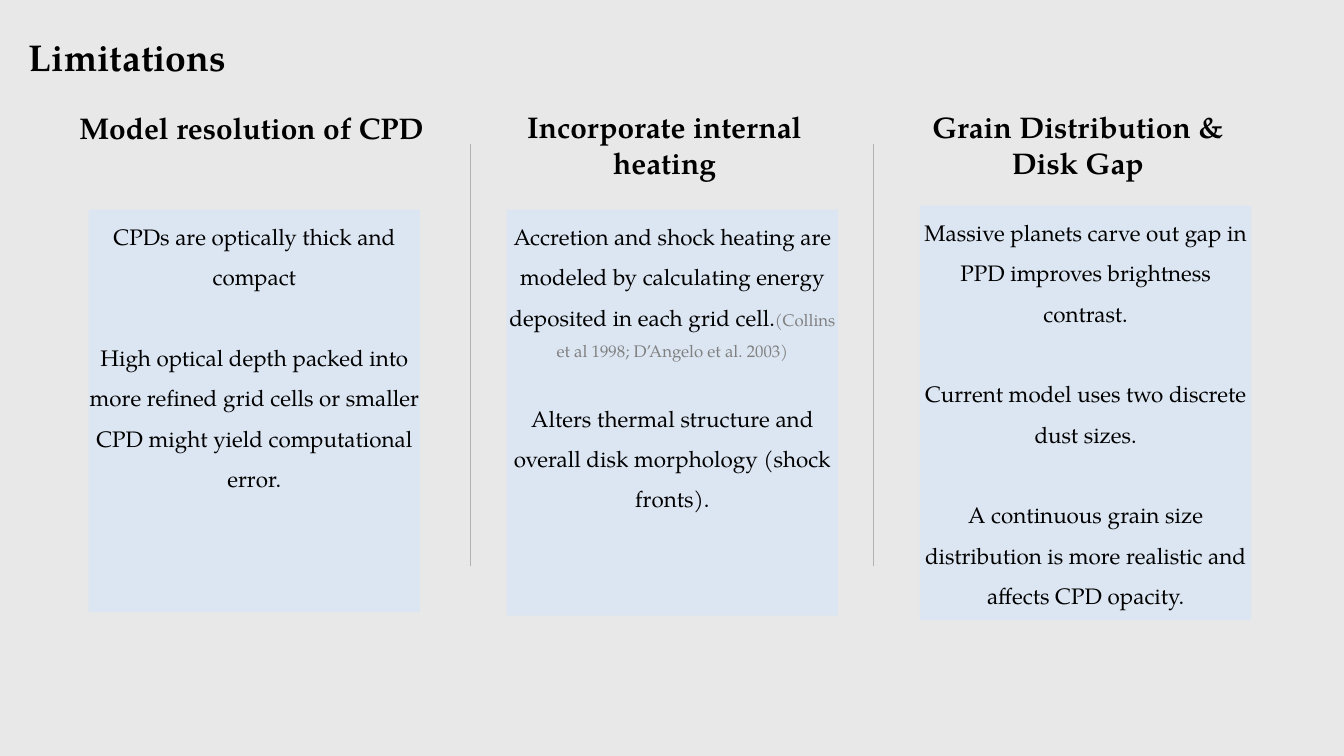
"""Build the slide that lists three limitations in side-by-side columns."""
from dataclasses import dataclass

from lxml.etree import SubElement
from pptx import Presentation
from pptx.dml.color import RGBColor
from pptx.enum.shapes import MSO_CONNECTOR, MSO_SHAPE
from pptx.enum.text import MSO_ANCHOR, MSO_AUTO_SIZE, PP_ALIGN
from pptx.oxml.ns import qn
from pptx.slide import Slide
from pptx.text.text import TextFrame, _Paragraph
from pptx.util import Inches, Length, Pt

FONT = "TeX Gyre Pagella"
BLACK = RGBColor(0x00, 0x00, 0x00)
GRAY = RGBColor(0x80, 0x80, 0x80)
RULE_GRAY = RGBColor(0xB3, 0xB3, 0xB3)
PANEL_BLUE = RGBColor(0xDC, 0xE6, 0xF2)
PAGE_GRAY = RGBColor(0xE8, 0xE8, 0xE8)

SLIDE_WIDTH, SLIDE_HEIGHT = Inches(20), Inches(11.25)
COLUMNS, ROWS = 20, 11.25
PANEL_COLUMNS = 4.93
DIVIDER_COLUMNS = (7, 13)
DIVIDER_TOP, DIVIDER_BOTTOM = 2.15, 8.42


@dataclass(frozen=True)
class Area:
    """Place of an object in grid columns and rows."""

    left: float
    top: float
    width: float
    height: float

    def lengths(self) -> tuple[Length, Length, Length, Length]:
        """Return left, top, width and height as slide lengths."""
        return across(self.left), down(self.top), across(self.width), down(self.height)


@dataclass(frozen=True)
class Limitation:
    """A heading with its panel of statements."""

    heading: str
    heading_area: Area
    panel_area: Area
    statements: tuple[str, ...]
    citation: str = ""
    alignment: PP_ALIGN = PP_ALIGN.CENTER
    gap: float = 43.3


LIMITATIONS = (
    Limitation(
        "Model resolution of CPD",
        Area(0.45, 1.62, 5.86, 0.53),
        Area(1.32, 3.12, PANEL_COLUMNS, 5.99),
        (
            "CPDs are optically thick and compact",
            "High optical depth packed into more refined grid cells or smaller CPD "
            "might yield computational error.",
        ),
        alignment=PP_ALIGN.RIGHT,
    ),
    Limitation(
        "Incorporate internal heating",
        Area(7.17, 1.61, 5.44, 1.07),
        Area(7.54, 3.12, PANEL_COLUMNS, 6.04),
        (
            "Accretion and shock heating are modeled by calculating energy "
            "deposited in each grid cell.",
            "Alters thermal structure and overall disk morphology (shock fronts).",
        ),
        citation="(Collins et al 1998; D’Angelo et al. 2003)",
        gap=32.5,
    ),
    Limitation(
        "Grain Distribution & Disk Gap",
        Area(13.47, 1.61, 5.14, 1.07),
        Area(13.69, 3.06, PANEL_COLUMNS, 6.17),
        (
            "Massive planets carve out gap in PPD improves brightness contrast.",
            "Current model uses two discrete dust sizes.",
            "A continuous grain size distribution is more realistic and affects "
            "CPD opacity.",
        ),
    ),
)


def across(columns: float) -> Length:
    """Convert grid columns to a length."""
    return Length(round(SLIDE_WIDTH * columns / COLUMNS))


def down(rows: float) -> Length:
    """Convert grid rows to a length."""
    return Length(round(SLIDE_HEIGHT * rows / ROWS))


def prepare_frame(frame: TextFrame, anchor: MSO_ANCHOR = MSO_ANCHOR.TOP, margin: Length = Pt(0)) -> None:
    """Set wrapping, anchor and margins of a text frame."""
    frame.auto_size = MSO_AUTO_SIZE.NONE
    frame.word_wrap = True
    frame.vertical_anchor = anchor
    frame.margin_left = frame.margin_right = margin
    frame.margin_top = frame.margin_bottom = margin


def style_paragraph(para: _Paragraph, size: float, alignment: PP_ALIGN, bold: bool = False) -> None:
    """Set alignment and font of a paragraph."""
    para.alignment = alignment
    para.font.name = FONT
    para.font.size = Pt(size)
    para.font.bold = bold
    para.font.color.rgb = BLACK


def add_title(page: Slide, text: str, area: Area) -> None:
    """Fill and move the title placeholder."""
    title = page.shapes.title
    title.left, title.top, title.width, title.height = area.lengths()
    prepare_frame(title.text_frame, MSO_ANCHOR.MIDDLE, Inches(0.1))
    title.text_frame.margin_top = title.text_frame.margin_bottom = Inches(0.05)
    para = title.text_frame.paragraphs[0]
    para.text = text
    style_paragraph(para, 40, PP_ALIGN.LEFT, bold=True)


def add_heading(page: Slide, limitation: Limitation) -> None:
    """Add the heading of a column."""
    box = page.shapes.add_textbox(*limitation.heading_area.lengths())
    prepare_frame(box.text_frame)
    para = box.text_frame.paragraphs[0]
    para.text = limitation.heading
    para.line_spacing = Pt(39)
    style_paragraph(para, 32, limitation.alignment, bold=True)


def add_panel(page: Slide, limitation: Limitation) -> None:
    """Add the filled panel with the statements of a column."""
    panel = page.shapes.add_shape(MSO_SHAPE.RECTANGLE, *limitation.panel_area.lengths())
    panel.shadow.inherit = False
    panel.fill.solid()
    panel.fill.fore_color.rgb = PANEL_BLUE
    panel.line.fill.background()
    frame = panel.text_frame
    prepare_frame(frame)
    for index, statement in enumerate(limitation.statements):
        para = frame.add_paragraph() if index else frame.paragraphs[0]
        para.text = statement
        para.line_spacing = 1.5
        if index:
            para.space_before = Pt(limitation.gap)
        style_paragraph(para, 24, PP_ALIGN.CENTER)
    if limitation.citation:
        span = frame.paragraphs[0].add_run()
        span.text = limitation.citation
        span.font.size = Pt(18)
        span.font.color.rgb = GRAY


def add_divider(page: Slide, column: float) -> None:
    """Add a thin vertical line between two columns."""
    divider = page.shapes.add_connector(
        MSO_CONNECTOR.STRAIGHT, across(column), down(DIVIDER_BOTTOM), across(column), down(DIVIDER_TOP)
    )
    divider.line.color.rgb = RULE_GRAY
    divider.line.width = Pt(0.75)
    SubElement(divider._element.spPr, qn("a:effectLst"))


def main() -> None:
    """Build and save the deck."""
    deck = Presentation()
    deck.slide_width, deck.slide_height = SLIDE_WIDTH, SLIDE_HEIGHT
    page = deck.slides.add_slide(deck.slide_layouts.get_by_name("Title Only"))
    page.background.fill.solid()
    page.background.fill.fore_color.rgb = PAGE_GRAY
    add_title(page, "Limitations", Area(0.33, 0.46, 15.58, 0.77))
    for limitation in LIMITATIONS:
        add_heading(page, limitation)
        add_panel(page, limitation)
    for column in DIVIDER_COLUMNS:
        add_divider(page, column)
    deck.save("out.pptx")


if __name__ == "__main__":
    main()
